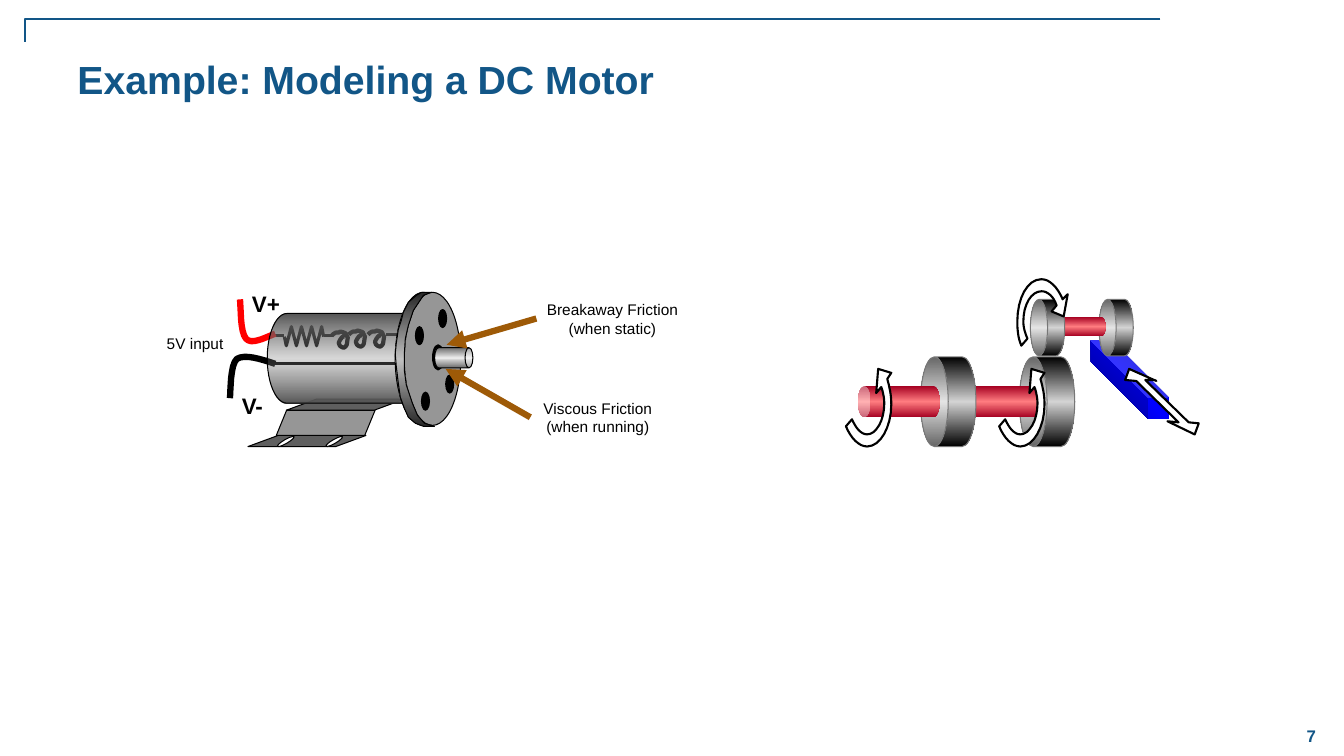
"""Build the slide on modeling a DC motor."""
from lxml.etree import SubElement
from pptx import Presentation
from pptx.dml.color import RGBColor
from pptx.enum.shapes import MSO_CONNECTOR, MSO_SHAPE
from pptx.enum.text import MSO_ANCHOR, PP_ALIGN
from pptx.oxml.ns import qn
from pptx.util import Inches, Pt

CAN, CUBE, OVAL, SLANT = MSO_SHAPE.CAN, MSO_SHAPE.CUBE, MSO_SHAPE.OVAL, MSO_SHAPE.PARALLELOGRAM
STRAIGHT, ELBOW = MSO_CONNECTOR.STRAIGHT, MSO_CONNECTOR.ELBOW
TOP, MIDDLE = MSO_ANCHOR.TOP, MSO_ANCHOR.MIDDLE
LEFT, CENTER = PP_ALIGN.LEFT, PP_ALIGN.CENTER


class Theme:
    """Colours, gradients and type sizes."""
    font = "Arial"
    blue, black, white, red, brown = "125687", "000000", "FFFFFF", "FF0000", "9E5A07"
    steel, dark, edge = "969696", "5F5F5F", "777777"
    body = ("555555", "777777", "555555")
    shaft = ("6C6C6C", "EAEAEA", "6C6C6C")
    rim = ("262626", "C0C0C0", "262626")
    wheel = ("000000", "D3D3D3", "000000")
    axle = ("A50021", "FF7C80", "A50021")
    rack = ("0000B6", "0000FF", "0000B6")
    title = {"size": Pt(28), "bold": True}
    page = {"size": Pt(12), "bold": True}
    pole = {"size": Pt(16), "bold": True}
    note = {"size": Pt(11), "bold": False}


def rgb(code):
    """Turn a hex code into a colour."""
    return RGBColor.from_string(code)


def paint(shape, fill, line, width, angle=0, alpha=None):
    """Set fill, outline and shadow of a shape."""
    shape.shadow.inherit = False
    if fill is None:
        shape.fill.background()
    elif isinstance(fill, str):
        shape.fill.solid()
        shape.fill.fore_color.rgb = rgb(fill)
    else:
        shape.fill.gradient()
        grad = shape.element.spPr.find(qn("a:gradFill"))
        stops = grad.find(qn("a:gsLst"))
        for stop in list(stops):
            stops.remove(stop)
        for pos, code in zip((0, 50, 100), fill):
            stop = SubElement(stops, qn("a:gs"), pos=str(pos * 1000))
            tint = SubElement(stop, qn("a:srgbClr"), val=code)
            if alpha and pos == 50:
                SubElement(tint, qn("a:alpha"), val=str(alpha * 1000))
        grad.find(qn("a:lin")).set("ang", str(angle * 60000))
    if line:
        shape.line.color.rgb = rgb(line)
        shape.line.width = Pt(width)
    else:
        shape.line.fill.background()


def solid(group, org, kind, box, fill, line=Theme.black, adj=None, turn=0, flip=None, **look):
    """Add a preset shape at an offset from the origin."""
    left, top, wide, high = box
    shape = group.shapes.add_shape(
        kind, Inches(org[0] + left), Inches(org[1] + top), Inches(wide), Inches(high))
    if adj:
        shape.adjustments[0] = adj
    shape.rotation = turn
    if flip:
        shape.element.spPr.find(qn("a:xfrm")).set(flip, "1")
    paint(shape, fill, line, 0.75, **look)


def trace(steps, parts=8):
    """Flatten points and cubic curves into a list of points."""
    spots = [steps[0]]
    for step in steps[1:]:
        if len(step) == 2:
            spots.append(step)
            continue
        x, y = spots[-1]
        a, b, c, d, e, f = step
        for i in range(1, parts + 1):
            t = i / parts
            u = 1 - t
            spots.append(tuple(
                u**3 * p + 3 * u * u * t * q + 3 * u * t * t * r + t**3 * s
                for p, q, r, s in ((x, a, c, e), (y, b, d, f))))
    return [(round(x * 1000), round(y * 1000)) for x, y in spots]


def outline(group, org, steps, line=Theme.black, width=2.25, fill=None, **look):
    """Add a free outline, closed when it is filled."""
    spots = trace(steps)
    pen = group.shapes.build_freeform(*spots[0], scale=Inches(1) / 1000)
    pen.add_line_segments(spots[1:], close=fill is not None)
    paint(pen.convert_to_shape(Inches(org[0]), Inches(org[1])), fill, line, width, **look)


def link(group, org, ends, line, width, kind=STRAIGHT, head=False):
    """Add a connector and return it."""
    x, y, far, low = ends
    wire = group.shapes.add_connector(
        kind, Inches(org[0] + x), Inches(org[1] + y), Inches(org[0] + far), Inches(org[1] + low))
    wire.line.color.rgb = rgb(line)
    wire.line.width = Pt(width)
    if head:
        SubElement(wire.line._get_or_add_ln(), qn("a:tailEnd"), type="triangle")
    SubElement(wire.element.spPr, qn("a:effectLst"))
    return wire


def label(group, org, box, lines, style, color=Theme.black, align=LEFT, anchor=TOP, wrap=True):
    """Add a text box with one paragraph per line."""
    left, top, wide, high = box
    frame = group.shapes.add_textbox(
        Inches(org[0] + left), Inches(org[1] + top), Inches(wide), Inches(high)).text_frame
    frame.word_wrap = wrap
    frame.vertical_anchor = anchor
    frame.text = "\n".join(lines)
    for para in frame.paragraphs:
        para.alignment = align
        for run in para.runs:
            for key, value in {"name": Theme.font, **style}.items():
                setattr(run.font, key, value)
            run.font.color.rgb = rgb(color)


def header(slide, org):
    """Draw the corner rule, title and page number."""
    rule = link(slide, org, (11.51, 0.19, 0.25, 0.42), Theme.blue, 1, ELBOW)
    guides = rule.element.spPr.find(qn("a:prstGeom")).get_or_add_avLst()
    SubElement(guides, qn("a:gd"), name="adj1", fmla="val 100000")
    label(slide, org, (0.67, 0.5, 12.22, 1.25), ["Example: Modeling a DC Motor"],
          Theme.title, Theme.blue)
    label(slide, org, (12.67, 7.09, 0.67, 0.42), ["7"], Theme.page, Theme.blue, CENTER, MIDDLE)


def motor(slide, org):
    """Draw the motor with its circuit and mount."""
    group = slide.shapes.add_group_shape()
    peaks = [(0.84 + 0.05 * i, 1.24 if i % 2 else 1.43) for i in range(8)]
    outline(group, org, [(0.82, 1.34), *peaks, (1.21, 1.34)])
    for x, y in ((1.29, 1.33), (1.46, 1.32), (1.65, 1.32)):
        outline(group, (org[0] + x, org[1] + y), [
            (0, 0), (0.01, -0.01, 0.02, -0.02, 0.04, -0.03),
            (0.05, -0.03, 0.06, -0.03, 0.07, -0.03), (0.08, -0.04, 0.09, -0.04, 0.09, -0.04),
            (0.16, -0.02, 0.13, -0.03, 0.16, 0.02), (0.15, 0.07, 0.16, 0.1, 0.12, 0.12),
            (0.09, 0.11, 0.08, 0.11, 0.07, 0.07), (0.08, 0.05, 0.1, 0, 0.13, 0.01)], width=3)
    for x in (0.73, 1.21):
        link(group, org, (x, 1.33, x + 0.09, 1.33), Theme.black, 2.25)
    outline(group, org, [(1.83, 1.32), (2.02, 1.32), (2.02, 1.61), (0.73, 1.61)])
    outline(group, org, [(0.73, 1.31), (0.61, 1.36, 0.49, 1.42, 0.44, 1.36),
                         (0.38, 1.3, 0.39, 1.03, 0.38, 0.97)], Theme.red, 4.5)
    outline(group, org, [(0.73, 1.61), (0.58, 1.56, 0.43, 1.51, 0.35, 1.56),
                         (0.28, 1.62, 0.29, 1.89, 0.28, 1.95)], width=4.5)
    label(group, org, (0.4, 0.83, 0.48, 0.39), ["V+"], Theme.pole, wrap=False)
    label(group, org, (0.3, 1.84, 0.42, 0.39), ["V-"], Theme.pole, wrap=False)
    for box, fill, adj in (((0.46, 2.32, 1.17, 0.11), Theme.dark, 2.72),
                           ((0.74, 2.07, 0.98, 0.25), Theme.steel, 0.41),
                           ((0.84, 1.96, 1.17, 0.11), Theme.dark, 2.72)):
        solid(group, org, SLANT, box, fill, adj=adj)
    for x in (1.22, 0.74):
        solid(group, org, OVAL, (x, 2.36, 0.19, 0.04), Theme.white, turn=330, flip="flipH")
    solid(group, org, CAN, (1.07, 0.69, 0.89, 1.73), Theme.body, adj=0.44, turn=90, alpha=28)
    for x in (1.92, 2.01):
        solid(group, org, OVAL, (x, 0.9, 0.56, 1.32), Theme.steel)
    solid(group, org, OVAL, (2.29, 1.42, 0.11, 0.25), Theme.black)
    solid(group, org, CAN, (2.4, 1.36, 0.2, 0.38), Theme.shaft, adj=0.39, turn=270, flip="flipV")
    outline(group, org, [
        (2.28, 0.9), (2.18, 0.9), (2.13, 0.93), (2.05, 1), (2, 1.1), (1.98, 1.18), (1.95, 1.27),
        (1.93, 1.41), (1.92, 1.51), (1.93, 1.63), (1.95, 1.8), (1.97, 1.94), (2.01, 2.05),
        (2.05, 2.14), (2.12, 2.2), (2.2, 2.23), (2.31, 2.23), (2.21, 2.2), (2.14, 2.12),
        (2.09, 2), (2.03, 1.82), (2.01, 1.67), (2.01, 1.52), (2.02, 1.36), (2.05, 1.23),
        (2.1, 1.08), (2.16, 0.99), (2.2, 0.93)], width=0.75, fill=Theme.rim, angle=90)
    for x, y in ((2.18, 1.89), (2.42, 1.72), (2.12, 1.24), (2.35, 1.07)):
        solid(group, org, OVAL, (x, y, 0.08, 0.18), Theme.black)


def gears(slide, org):
    """Draw the gear train, the rack and the motion arrows."""
    group = slide.shapes.add_group_shape()
    solid(group, org, CUBE, (2.82, 1.38, 0.77, 0.77), Theme.rack, None, 0.73, flip="flipH", angle=45)
    for disc, rod in (((1.94, 1.71, 0.89, 0.55), (1.75, 1.58, 0.31, 0.81)),
                      ((0.96, 1.71, 0.89, 0.55), (0.76, 1.58, 0.31, 0.81)),
                      ((2.79, 1.08, 0.56, 0.34), (2.62, 0.99, 0.19, 0.5)),
                      ((2.11, 1.08, 0.56, 0.34), None)):
        solid(group, org, CAN, disc, Theme.wheel, Theme.edge, 0.5, 270)
        if rod:
            solid(group, org, CAN, rod, Theme.axle, None, 0.4, 90, "flipV")
    slide_way = [(3.85, 2.31), (3.89, 2.2), (3.79, 2.19), (3.36, 1.77), (3.45, 1.77),
                 (3.47, 1.78), (3.2, 1.66), (3.16, 1.77), (3.27, 1.78), (3.69, 2.19), (3.58, 2.18)]
    up = [(0.74, 1.84), (0.76, 1.89, 0.77, 1.95, 0.77, 2.01), (0.77, 2.17, 0.69, 2.31, 0.6, 2.31),
          (0.54, 2.31, 0.49, 2.25, 0.45, 2.16), (0.39, 2.23), (0.44, 2.35, 0.52, 2.43, 0.6, 2.43),
          (0.73, 2.43, 0.84, 2.24, 0.84, 2.01), (0.84, 1.92, 0.82, 1.83, 0.8, 1.76),
          (0.84, 1.7), (0.71, 1.66), (0.69, 1.9)]
    down = [(2.48, 1.03), (2.45, 0.94, 2.39, 0.89, 2.33, 0.89),
            (2.23, 0.89, 2.15, 1.02, 2.15, 1.19), (2.15, 1.25, 2.17, 1.31, 2.19, 1.36),
            (2.13, 1.43), (2.1, 1.36, 2.09, 1.28, 2.09, 1.19), (2.09, 0.96, 2.19, 0.77, 2.33, 0.77),
            (2.41, 0.77, 2.49, 0.85, 2.54, 0.97), (2.59, 0.92), (2.55, 1.14), (2.43, 1.09)]
    for steps, shift in ((slide_way, 0), (up, 0), (down, 0), (up, 1.52)):
        outline(group, (org[0] + shift, org[1]), steps, width=1.5, fill=Theme.white)


def notes(slide, org):
    """Add the friction and input labels with arrows."""
    for box, lines, ends in (
            ((4.32, 0.93, 1.51, 0.47), ["Breakaway Friction", "(when static)"], (4.32, 1.16, 3.43, 1.42)),
            ((4.26, 1.91, 1.34, 0.47), ["Viscous Friction", "(when running)"], (4.26, 2.14, 3.42, 1.66)),
            ((0.05, 1.27, 1.77, 0.29), ["5V input"], None)):
        label(slide, org, box, lines, Theme.note, align=CENTER)
        if ends:
            link(slide, org, ends, Theme.brown, 4.5, head=True)


def main():
    """Build and save the deck."""
    deck = Presentation()
    deck.slide_width, deck.slide_height = Inches(13.33), Inches(7.5)
    slide = deck.slides.add_slide(deck.slide_layouts[6])
    header(slide, (0, 0))
    motor(slide, (2, 2))
    gears(slide, (8, 2))
    notes(slide, (1, 2))
    deck.save("out.pptx")


if __name__ == "__main__":
    main()
